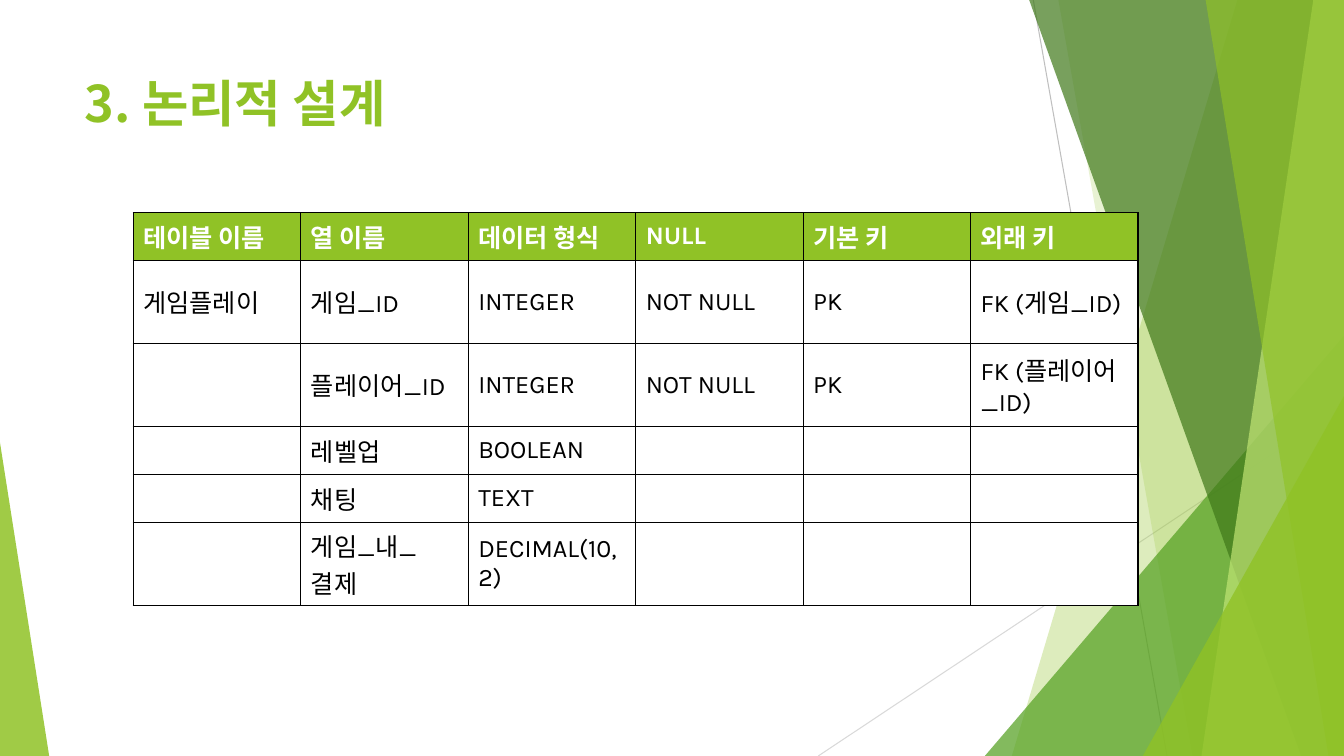
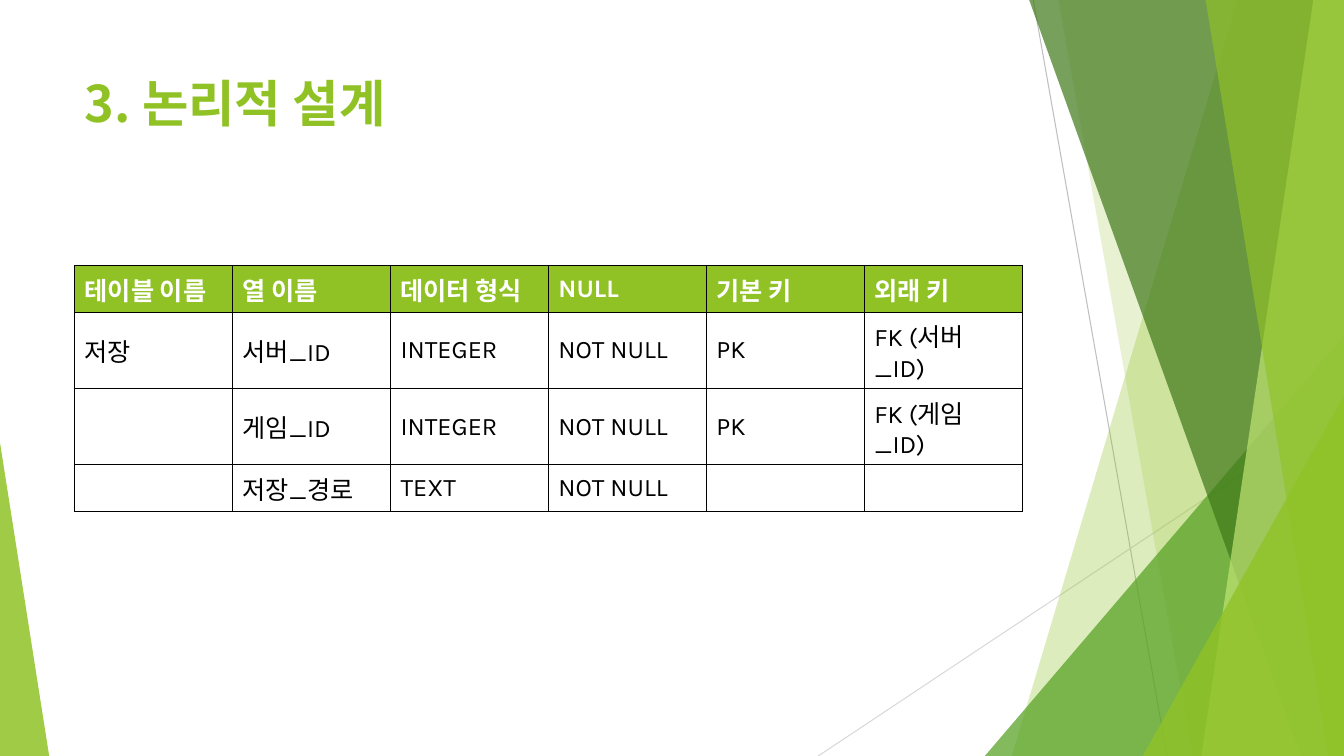
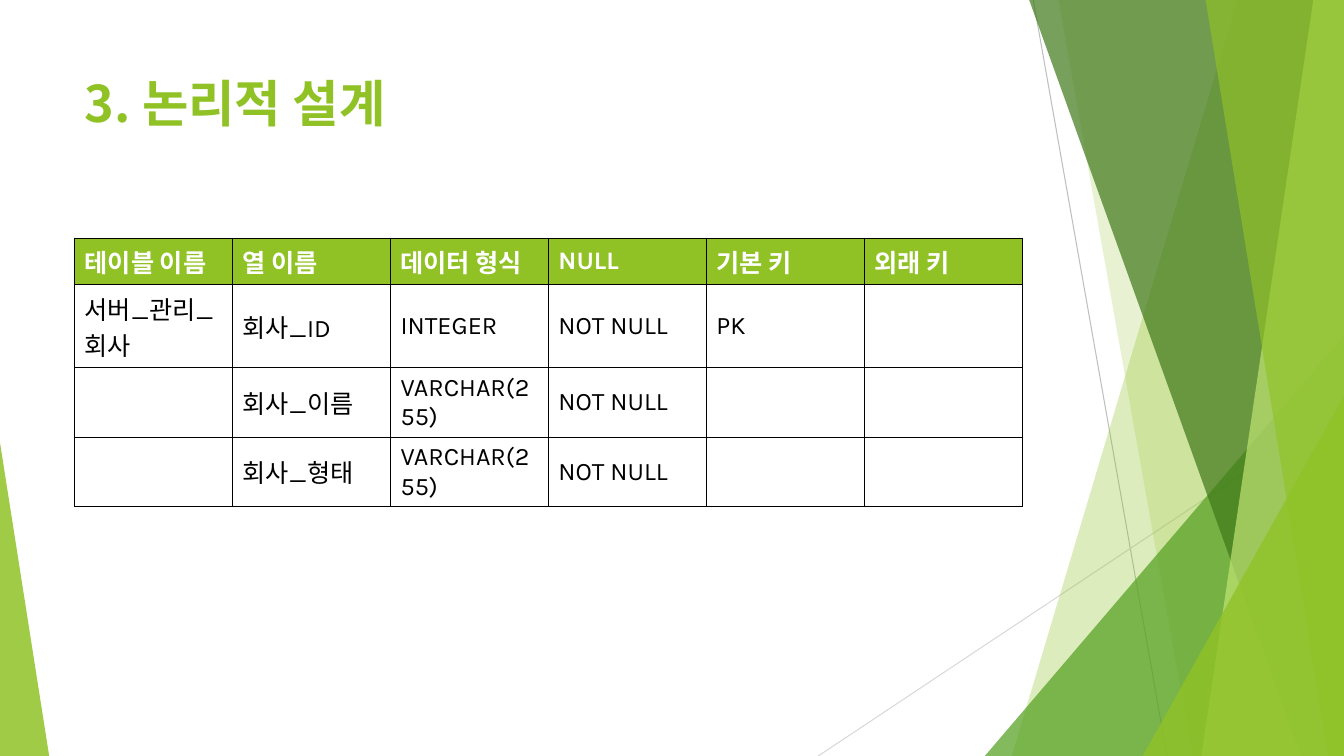
import pptx
import pptx.dml.color
import pptx.enum.shapes
import pptx.enum.text
import pptx.oxml
import pptx.oxml.ns
import pptx.util
from lxml import etree

Cm = pptx.util.Cm
RGBColor = pptx.dml.color.RGBColor
qn = pptx.oxml.ns.qn

LIME = RGBColor(0x90, 0xC2, 0x26)
PALE_LIME = RGBColor(0xC0, 0xE4, 0x74)
GREEN = RGBColor(0x54, 0xA0, 0x21)
DARK_GREEN = RGBColor(0x3F, 0x78, 0x19)
GREY = RGBColor(0xBF, 0xBF, 0xBF)
LIGHT_GREY = RGBColor(0xD9, 0xD9, 0xD9)
WHITE = RGBColor(0xFF, 0xFF, 0xFF)
BLACK = RGBColor(0, 0, 0)

KOREAN_FONT = "Noto Sans CJK KR"
TITLE_FORMAT = {"size": pptx.util.Pt(36), "bold": True, "name": KOREAN_FONT}
HEADER_FORMAT = {"size": pptx.util.Pt(18), "bold": True, "name": "Karla"}
BODY_FORMAT = {**HEADER_FORMAT, "bold": False}

WIDTH, HEIGHT = 33.87, 19.05
TITLE = "3. 논리적 설계"
HEADER = ["테이블 이름", "열 이름", "데이터 형식", "NULL", "기본 키", "외래 키"]

# Position, column width and row heights in cm, then the rows below the header
TABLES = [
    {"left": 3.36, "top": 5.36, "column": 4.22,
     "heights": [1.2, 2.09, 2.09, 1.21, 1.21, 2.09],
     "rows": [
         ["게임플레이", "게임_ID", "INTEGER", "NOT NULL", "PK", "FK (게임_ID)"],
         ["", "플레이어_ID", "INTEGER", "NOT NULL", "PK", "FK (플레이어_ID)"],
         ["", "레벨업", "BOOLEAN", "", "", ""],
         ["", "채팅", "TEXT", "", "", ""],
         ["", "게임_내_결제", "DECIMAL(10, 2)", "", "", ""],
     ]},
    {"left": 1.88, "top": 6.7, "column": 3.98,
     "heights": [1.17, 1.92, 1.92, 1.17],
     "rows": [
         ["저장", "서버_ID", "INTEGER", "NOT NULL", "PK", "FK (서버_ID)"],
         ["", "게임_ID", "INTEGER", "NOT NULL", "PK", "FK (게임_ID)"],
         ["", "저장_경로", "TEXT", "NOT NULL", "", ""],
     ]},
    {"left": 1.88, "top": 6, "column": 3.98,
     "heights": [1.17, 2.09, 1.75, 1.75],
     "rows": [
         ["서버_관리_회사", "회사_ID", "INTEGER", "NOT NULL", "PK", ""],
         ["", "회사_이름", "VARCHAR(255)", "NOT NULL", "", ""],
         ["", "회사_형태", "VARCHAR(255)", "NOT NULL", "", ""],
     ]},
]


def write_text(text_frame, text, font_format, color):
    paragraph = text_frame.paragraphs[0]
    paragraph.alignment = pptx.enum.text.PP_ALIGN.LEFT
    run = paragraph.add_run()
    run.text = text
    for attribute, value in font_format.items():
        setattr(run.font, attribute, value)
    run.font.color.rgb = color
    east_asian = etree.SubElement(run._r.get_or_add_rPr(), qn("a:ea"))
    east_asian.set("typeface", KOREAN_FONT)


def paint(shape, color, opacity):
    shape.shadow.inherit = False
    shape.fill.solid()
    shape.fill.fore_color.rgb = color
    alpha = etree.SubElement(next(shape.element.iter(qn("a:srgbClr"))), qn("a:alpha"))
    alpha.set("val", str(opacity * 1000))
    shape.line.fill.background()


presentation = pptx.Presentation()
presentation.slide_width = Cm(WIDTH)
presentation.slide_height = Cm(HEIGHT)
layout = presentation.slide_layouts.get_by_name("Title Only")

# Shared title position
layout_title = layout.placeholders[0]
for attribute, value in {"left": 1.88, "top": 1.7, "width": 23.88, "height": 3.66}.items():
    setattr(layout_title, attribute, Cm(value))

slides = [presentation.slides.add_slide(layout) for _ in TABLES]
canvas = slides[0].shapes
decorations = []

# Thin lines
for x1, y1, x2, y2, color in [(26.04, 0, 29.41, HEIGHT, GREY),
                              (WIDTH, 10.24, 20.62, HEIGHT, LIGHT_GREY)]:
    line = canvas.add_connector(pptx.enum.shapes.MSO_CONNECTOR.STRAIGHT,
                                Cm(x1), Cm(y1), Cm(x2), Cm(y2))
    line.line.color.rgb = color
    line.line.width = pptx.util.Pt(0.75)
    etree.SubElement(line.element.spPr, qn("a:effectLst"))
    decorations.append(line)

# Bands reach the right edge; triangles rest on the bottom edge
FACETS = [
    ("band", 31.19, 25.5, LIME, 30),
    ("band", 26.67, 30.05, LIME, 20),
    ("triangle", 24.82, 8.46, GREEN, 72),
    ("band", 25.93, 32.79, DARK_GREEN, 70),
    ("band", 33.1, 30.28, PALE_LIME, 70),
    ("band", 30.38, 33.48, LIME, 65),
    ("triangle", 28.8, 9.98, LIME, 80),
    ("triangle", 0, 11.15, LIME, 85),
]
for kind, first, second, color, opacity in FACETS:
    if kind == "band":
        builder = canvas.build_freeform(Cm(first), Cm(-0.02))
        builder.add_line_segments([(Cm(WIDTH), Cm(-0.02)), (Cm(WIDTH), Cm(HEIGHT)),
                                   (Cm(second), Cm(HEIGHT))])
        facet = builder.convert_to_shape()
    else:
        facet_width = WIDTH - first if first else 1.24
        facet = canvas.add_shape(pptx.enum.shapes.MSO_SHAPE.ISOSCELES_TRIANGLE,
                                 Cm(first), Cm(second),
                                 Cm(facet_width), Cm(HEIGHT - second))
        facet.adjustments[0] = 1 if first else 0
    paint(facet, color, opacity)
    decorations.append(facet)

# Move the decoration into the layout, behind its placeholders
for index, shape in enumerate(decorations):
    shape.element.xpath(".//p:cNvPr")[0].set("id", str(100 + index))
    layout.shapes.element.insert(2 + index, shape.element)

# Titles and tables
for slide, content in zip(slides, TABLES):
    title_frame = slide.shapes.title.text_frame
    title_frame.vertical_anchor = pptx.enum.text.MSO_ANCHOR.TOP
    title_frame.auto_size = pptx.enum.text.MSO_AUTO_SIZE.NONE
    write_text(title_frame, TITLE, TITLE_FORMAT, LIME)

    rows = [HEADER] + content["rows"]
    table = slide.shapes.add_table(
        len(rows), len(HEADER), Cm(content["left"]), Cm(content["top"]),
        Cm(content["column"] * len(HEADER)), Cm(sum(content["heights"]))).table
    for column in table.columns:
        column.width = Cm(content["column"])

    for row_index, row in enumerate(rows):
        table.rows[row_index].height = Cm(content["heights"][row_index])
        is_header = row_index == 0
        for column_index, text in enumerate(row):
            cell = table.cell(row_index, column_index)
            cell.vertical_anchor = pptx.enum.text.MSO_ANCHOR.MIDDLE
            cell.fill.solid()
            cell.fill.fore_color.rgb = LIME if is_header else WHITE
            if text:
                write_text(cell.text_frame, text,
                           HEADER_FORMAT if is_header else BODY_FORMAT,
                           WHITE if is_header else BLACK)
            # Cell borders come before the fill
            for position, side in enumerate(["lnL", "lnR", "lnT", "lnB"]):
                border = etree.Element(qn(f"a:{side}"), w=str(pptx.util.Pt(1)))
                border_fill = etree.SubElement(border, qn("a:solidFill"))
                etree.SubElement(border_fill, qn("a:srgbClr"), val=str(BLACK))
                cell._tc.get_or_add_tcPr().insert(position, border)

presentation.save("out.pptx")
